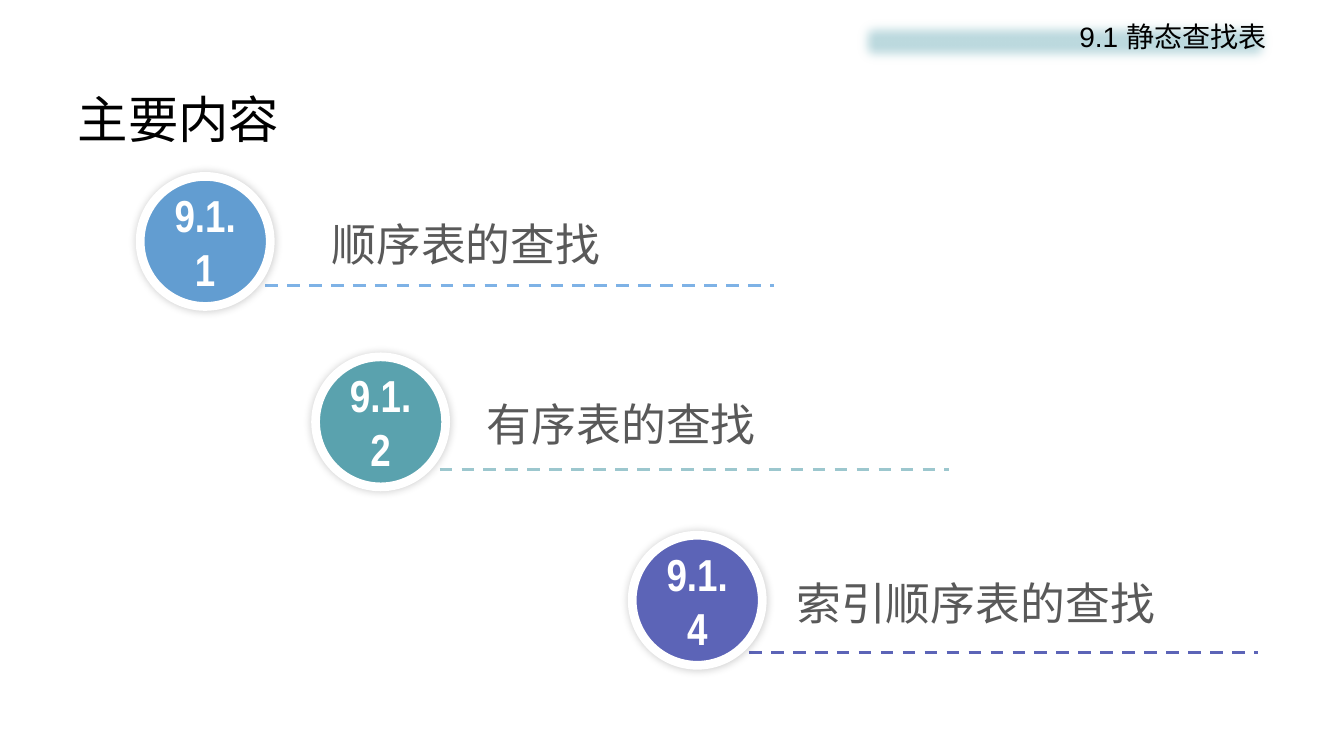
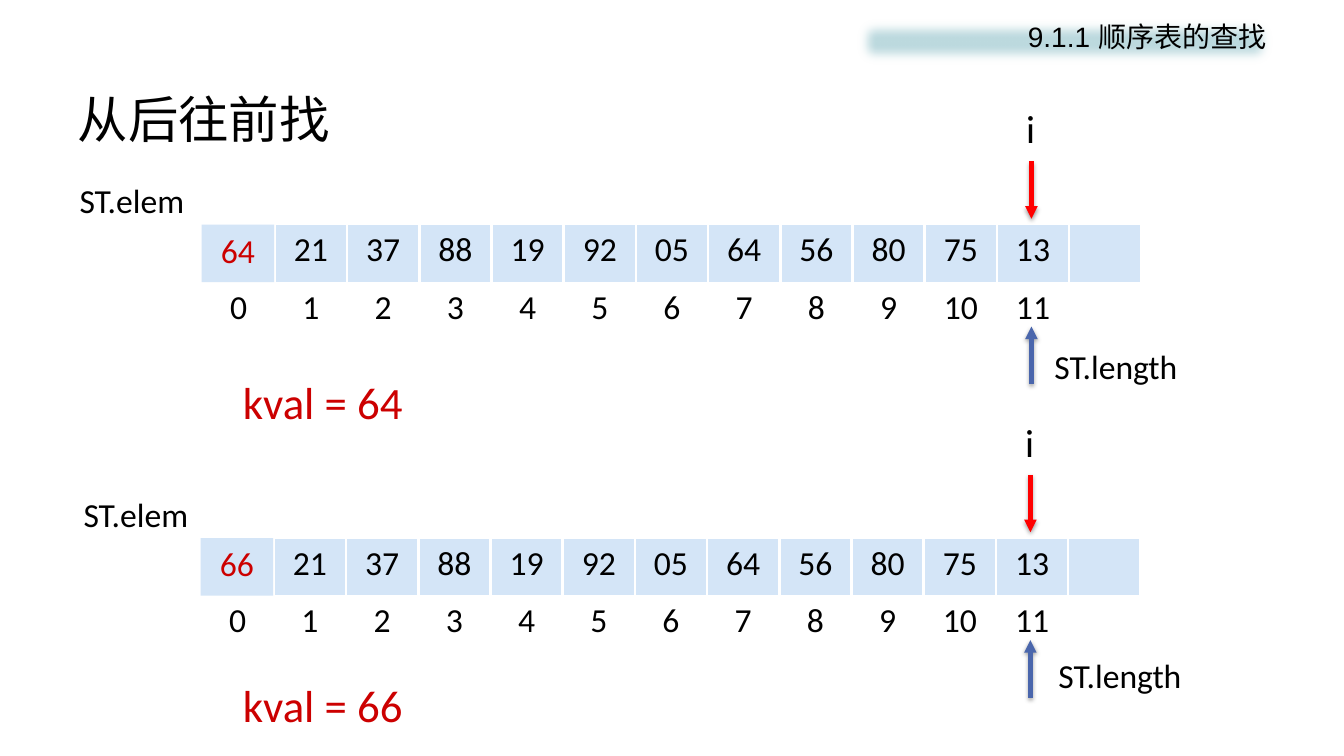
from lxml import etree
from pptx import Presentation
from pptx.dml.color import RGBColor
from pptx.enum.dml import MSO_LINE
from pptx.enum.shapes import MSO_CONNECTOR, MSO_SHAPE
from pptx.enum.text import MSO_ANCHOR, PP_ALIGN
from pptx.oxml import parse_xml
from pptx.oxml.ns import nsdecls, qn
from pptx.util import Inches, Pt

DASH = MSO_LINE.DASH
STRAIGHT = MSO_CONNECTOR.STRAIGHT
OVAL, RECTANGLE = MSO_SHAPE.OVAL, MSO_SHAPE.RECTANGLE
TOP, MIDDLE = MSO_ANCHOR.TOP, MSO_ANCHOR.MIDDLE
LEFT, CENTER, RIGHT = PP_ALIGN.LEFT, PP_ALIGN.CENTER, PP_ALIGN.RIGHT

COLORS = {name: RGBColor.from_string(value) for name, value in {
    "black": "000000", "white": "FFFFFF", "grey text": "595959",
    "band": "BDDADF", "cell": "D4E5F7", "sentinel": "A6A6A6",
    "key": "CC0000", "index arrow": "FF0000", "length arrow": "4A66AC",
    "blue": "629DD1", "light blue": "7EB2E6", "teal": "5AA2AE",
    "light teal": "9CC7CE", "violet": "5C64B7",
}.items()}
CHINESE = "Noto Sans CJK SC"


def write(frame, text, size, font_name, color, align=LEFT, anchor=TOP, wrap=True, bold=False):
    """Fill a text frame or table cell with one styled paragraph."""
    frame.word_wrap = wrap
    frame.vertical_anchor = anchor
    para = getattr(frame, "text_frame", frame).paragraphs[0]
    para.text = text
    para.alignment = align
    para.font.size = Pt(size)
    para.font.name = font_name
    para.font.bold = bold
    para.font.color.rgb = COLORS[color]
    east_asian = etree.SubElement(para.font._rPr, qn("a:ea"))
    east_asian.set("typeface", CHINESE)


def set_effects(shape, content=""):
    """Replace the theme shadow with the given effects, or with none."""
    properties = shape._element.spPr
    for old in properties.findall(qn("a:effectLst")):
        properties.remove(old)
    properties.append(parse_xml(f"<a:effectLst {nsdecls('a')}>{content}</a:effectLst>"))


SHADOW = ('<a:outerShdw blurRad="{}" dist="{}" dir="{}" rotWithShape="0">'
          '<a:srgbClr val="000000"><a:alpha val="{}"/></a:srgbClr></a:outerShdw>')
CIRCLE_SHADOW = SHADOW.format(Pt(6), 0, 225 * 60000, 20000)
ARROW_SHADOW = SHADOW.format(Pt(3.1), Pt(1.6), 90 * 60000, 38000)
SOFT_EDGE = f'<a:softEdge rad="{Pt(9)}"/>'

deck = Presentation()
deck.slide_width, deck.slide_height = Inches(13.33), Inches(7.5)

# Shared title and section band
pages = []
for heading, section in [("主要内容", "9.1 静态查找表"), ("从后往前找", "9.1.1 顺序表的查找")]:
    page = deck.slides.add_slide(deck.slide_layouts[5])
    title = page.shapes.title
    title.left, title.top = Inches(0.67), Inches(0.8)
    title.width, title.height = Inches(12), Inches(0.75)
    write(title.text_frame, heading, 36, CHINESE, "black", anchor=MIDDLE)
    band = page.shapes.add_shape(RECTANGLE, Inches(8.46), Inches(0.14), Inches(4.2), Inches(0.54))
    band.fill.solid()
    band.fill.fore_color.rgb = COLORS["band"]
    band.line.fill.background()
    set_effects(band, SOFT_EDGE)
    write(band.text_frame, section, 20, "Arial", "black", RIGHT)
    pages.append(page)
contents, search = pages

# Contents: numbered circles, each with a dashed rule under its topic
topics = [
    ("9.1.1", "顺序表的查找", "blue", "light blue", (1.39, 1.75), (2.63, 2.83), 3.19),
    ("9.1.2", "有序表的查找", "teal", "light teal", (3.13, 3.54), (4.36, 4.66), 4.73),
    ("9.1.4", "索引顺序表的查找", "violet", "violet", (6.27, 5.31), (7.43, 6.47), 7.8),
]
for number, topic, circle_color, rule_color, (left, top), (rule_left, rule_top), topic_left in topics:
    rule = contents.shapes.add_connector(
        STRAIGHT, Inches(rule_left), Inches(rule_top), Inches(rule_left + 5.05), Inches(rule_top))
    rule.line.color.rgb = COLORS[rule_color]
    rule.line.width = Pt(2.25)
    rule.line.dash_style = DASH
    set_effects(rule)

    circle = contents.shapes.add_shape(OVAL, Inches(left), Inches(top), Inches(1.29), Inches(1.29))
    circle.fill.solid()
    circle.fill.fore_color.rgb = COLORS[circle_color]
    circle.line.color.rgb = COLORS["white"]
    circle.line.width = Pt(6.25)
    set_effects(circle, CIRCLE_SHADOW)
    write(circle.text_frame, number, 32, "Arial Narrow", "white", CENTER, MIDDLE, bold=True)

    box = contents.shapes.add_textbox(Inches(topic_left), Inches(top + 0.35), Inches(3.94), Inches(0.64))
    write(box.text_frame, topic, 32, CHINESE, "grey text")

# Search: the same list with two different sentinels
values = ["", "21", "37", "88", "19", "92", "05", "64", "56", "80", "75", "13", ""]
indexes = [str(index) for index in range(12)] + [""]
ROW_HEIGHT = 0.57
arrays = [("64", 2.01, 2.23, 0.69, 3.38, 3.67), ("66", 2, 5.34, 0.73, 6.45, 6.67)]
for key, left, top, elem_left, length_top, key_top in arrays:
    table = search.shapes.add_table(
        2, len(values), Inches(left), Inches(top), Inches(9.31), Inches(2 * ROW_HEIGHT)).table
    table.first_row = table.horz_banding = False
    for column, (value, index) in enumerate(zip(values, indexes)):
        value_cell, index_cell = table.cell(0, column), table.cell(1, column)
        for side in ("lnL", "lnR"):
            value_cell._tc.get_or_add_tcPr().append(parse_xml(
                f'<a:{side} {nsdecls("a")} w="{Pt(2.25)}"><a:solidFill>'
                f'<a:srgbClr val="{COLORS["white"]}"/></a:solidFill></a:{side}>'))
        value_cell.fill.solid()
        value_cell.fill.fore_color.rgb = COLORS["cell" if column else "sentinel"]
        index_cell.fill.background()
        for cell, text in ((value_cell, value), (index_cell, index)):
            if text:
                write(cell, text, 24, "Calibri", "black", CENTER)

    arrow_left = left + 8.22
    labels = [
        ("ST.elem", elem_left, top - 0.49, 1.25, 0.5, 24, "black"),
        ("ST.length", elem_left + 9.67, length_top, 1.43, 0.5, 24, "black"),
        ("i", arrow_left - 0.15, top - 1.24, 0.29, 0.57, 28, "black"),
        (f"kval = {key}", 2.31, key_top, 1.8, 0.64, 32, "key"),
    ]
    for text, label_left, label_top, width, height, size, color in labels:
        box = search.shapes.add_textbox(
            Inches(label_left), Inches(label_top), Inches(width), Inches(height))
        write(box.text_frame, text, size, "Calibri", color, wrap=False)

    arrows = [("index arrow", top - 0.63, top - 0.06), ("length arrow", top + 1.58, top + 1.01)]
    for color, start, end in arrows:
        arrow = search.shapes.add_connector(
            STRAIGHT, Inches(arrow_left), Inches(start), Inches(arrow_left), Inches(end))
        arrow.line.color.rgb = COLORS[color]
        arrow.line.width = Pt(3)
        etree.SubElement(arrow.line._get_or_add_ln(), qn("a:tailEnd")).set("type", "triangle")
        set_effects(arrow, ARROW_SHADOW)

    sentinel = search.shapes.add_shape(
        RECTANGLE, Inches(left - 0.01), Inches(top), Inches(0.72), Inches(ROW_HEIGHT))
    sentinel.fill.solid()
    sentinel.fill.fore_color.rgb = COLORS["cell"]
    sentinel.line.fill.background()
    set_effects(sentinel)
    write(sentinel.text_frame, key, 24, "Calibri", "key", CENTER)

deck.save("out.pptx")
